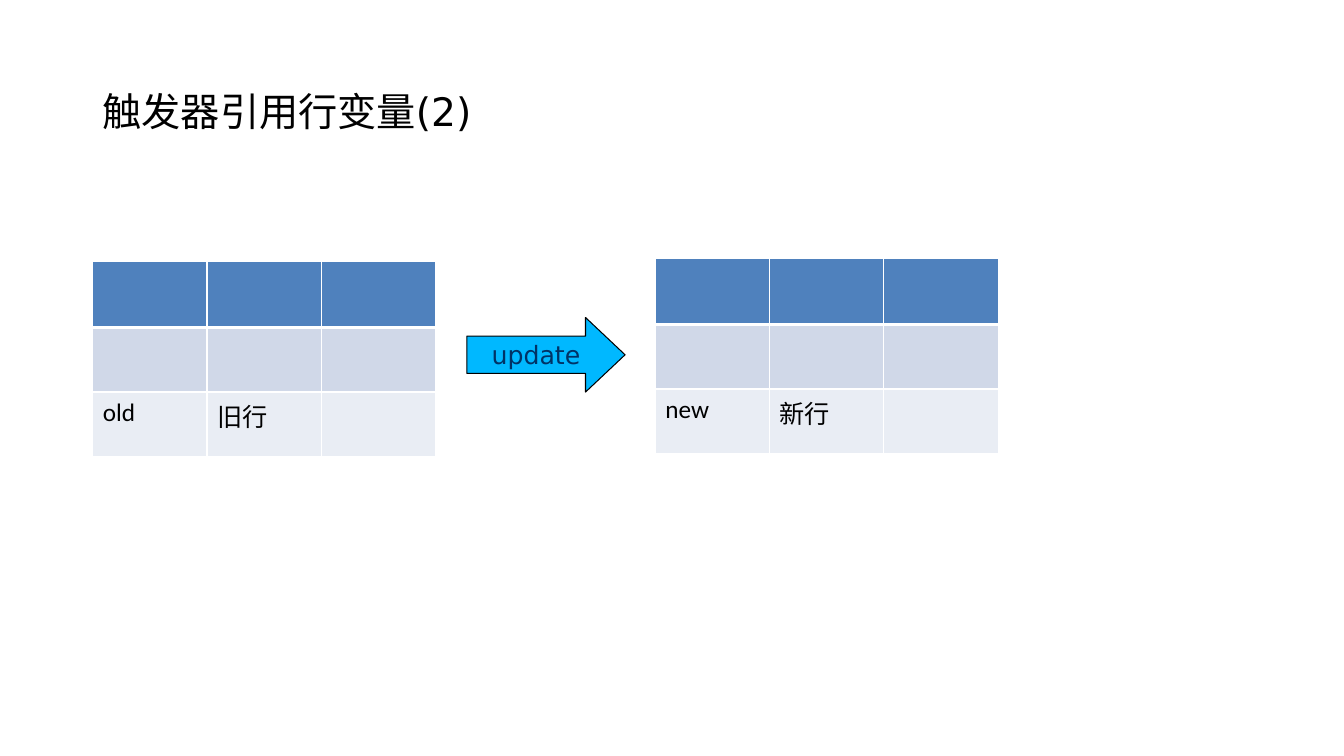
from dataclasses import dataclass

from lxml import etree
from pptx import Presentation
from pptx.dml.color import RGBColor
from pptx.enum.shapes import MSO_SHAPE
from pptx.enum.text import MSO_ANCHOR, PP_ALIGN
from pptx.oxml.ns import qn
from pptx.util import Inches, Pt


@dataclass(frozen=True)
class Theme:
    text: str = "000000"
    header: str = "4F81BD"
    band: str = "D0D8E8"
    plain: str = "E9EDF4"
    border: str = "FFFFFF"
    arrow: str = "00B8FF"
    arrow_text: str = "003366"
    title_font: str = "DejaVu Sans"
    table_font: str = "Calibri"
    title_size: int = 28
    body_size: int = 18
    thin: float = 1
    thick: float = 3
    outline: float = 0.75


THEME = Theme()
WIDTH, HEIGHT = 13.33, 7.5


def share(left, top, width, height):
    """Turn shares of the slide into a box of lengths."""
    return (Inches(left * WIDTH), Inches(top * HEIGHT),
            Inches(width * WIDTH), Inches(height * HEIGHT))


def write(frame, text, font, size, color, align=PP_ALIGN.LEFT):
    paragraph = frame.paragraphs[0]
    paragraph.alignment = align
    run = paragraph.add_run()
    run.text = text
    run.font.name = font
    run.font.size = Pt(size)
    run.font.color.rgb = RGBColor.from_string(color)
    return paragraph


def set_borders(cell, top, bottom):
    properties = cell._tc.get_or_add_tcPr()
    widths = {"lnL": THEME.thin, "lnR": THEME.thin, "lnT": top, "lnB": bottom}
    for index, (side, width) in enumerate(widths.items()):
        line = etree.Element(qn(f"a:{side}"), w=str(Pt(width)))
        fill = etree.SubElement(line, qn("a:solidFill"))
        etree.SubElement(fill, qn("a:srgbClr"), val=THEME.border)
        properties.insert(index, line)


def add_title(slide, box, text):
    frame = slide.shapes.add_textbox(*box).text_frame
    frame.word_wrap = True
    frame.vertical_anchor = MSO_ANCHOR.MIDDLE
    paragraph = write(frame, text, THEME.title_font, THEME.title_size, THEME.text)
    paragraph.line_spacing = 0.9


def add_row_table(slide, box, labels):
    """Header, banded row, and a last row that holds the labels."""
    fills = (THEME.header, THEME.band, THEME.plain)
    row_shares = (0.34, 0.33, 0.33)
    table = slide.shapes.add_table(len(fills), 3, *box).table
    for column in table.columns:
        column.width = box[2] // 3
    for index, (color, part) in enumerate(zip(fills, row_shares)):
        table.rows[index].height = int(box[3] * part)
        top = THEME.thick if index == 1 else THEME.thin
        bottom = THEME.thick if index == 0 else THEME.thin
        for cell in table.rows[index].cells:
            cell.fill.solid()
            cell.fill.fore_color.rgb = RGBColor.from_string(color)
            set_borders(cell, top, bottom)
    for column, label in enumerate(labels):
        write(table.cell(2, column).text_frame, label,
              THEME.table_font, THEME.body_size, THEME.text)


def add_update_arrow(slide, box, text):
    arrow = slide.shapes.add_shape(MSO_SHAPE.RIGHT_ARROW, *box)
    arrow.shadow.inherit = False
    arrow.adjustments[0] = 0.5
    arrow.adjustments[1] = 0.53
    arrow.fill.solid()
    arrow.fill.fore_color.rgb = RGBColor.from_string(THEME.arrow)
    arrow.line.color.rgb = RGBColor.from_string(THEME.text)
    arrow.line.width = Pt(THEME.outline)
    frame = arrow.text_frame
    frame.word_wrap = False
    frame.vertical_anchor = MSO_ANCHOR.MIDDLE
    write(frame, text, THEME.title_font, THEME.body_size,
          THEME.arrow_text, PP_ALIGN.CENTER)


def build_slide(presentation):
    slide = presentation.slides.add_slide(presentation.slide_layouts[6])
    left, table_width, table_height = 0.92 / WIDTH, 3.4 / WIDTH, 1.94 / HEIGHT

    # Title
    add_title(slide, share(left, 0.4 / HEIGHT, 11.5 / WIDTH, 1.45 / HEIGHT),
              "触发器引用行变量(2)")
    # Row before the update
    add_row_table(slide, share(left, 2.59 / HEIGHT, table_width, table_height),
                  ("old", "旧行"))
    # Update step
    add_update_arrow(slide, share(4.63 / WIDTH, 3.15 / HEIGHT,
                                  1.57 / WIDTH, 0.74 / HEIGHT), "update")
    # Row after the update
    add_row_table(slide, share(6.5 / WIDTH, 2.56 / HEIGHT, table_width, table_height),
                  ("new", "新行"))


presentation = Presentation()
presentation.slide_width = Inches(WIDTH)
presentation.slide_height = Inches(HEIGHT)
build_slide(presentation)
presentation.save("out.pptx")
